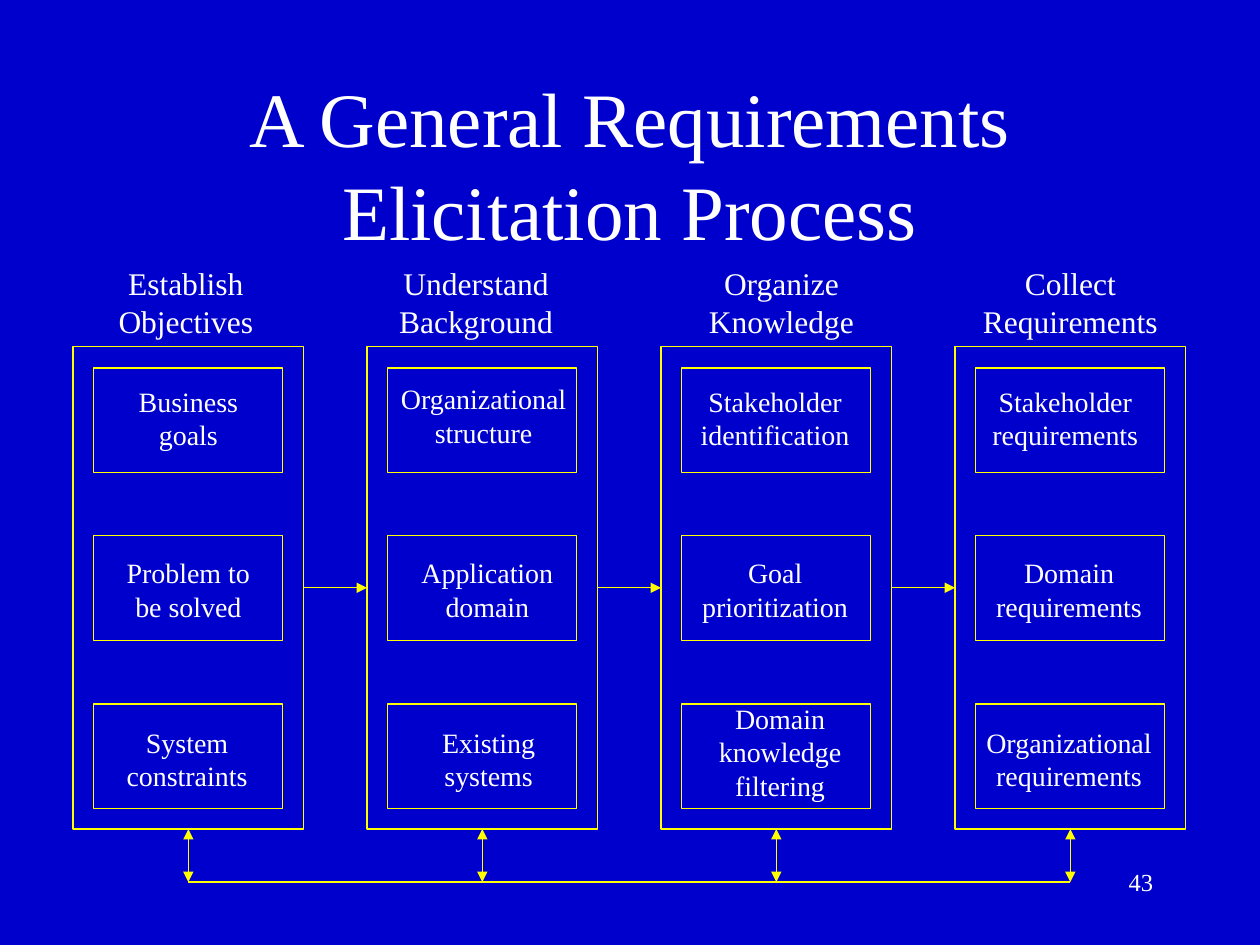
import dataclasses

import pptx
import pptx.dml.color
import pptx.enum.shapes
import pptx.enum.text
import pptx.oxml.ns
import pptx.util
from lxml import etree
from pptx.util import Inches


@dataclasses.dataclass(frozen=True)
class Theme:
    """Colours, font and point sizes of the slide."""
    background: str = "0000CC"
    line: str = "FFFF00"
    text: str = "FFFFFF"
    font: str = "Times New Roman"
    title_size: int = 44
    heading_size: int = 18
    label_size: int = 16
    number_size: int = 14
    line_width: float = 0.75


@dataclasses.dataclass(frozen=True)
class Label:
    """Lines of text with a width and a shift from the usual place, in inches."""
    text: str
    width: float
    shift: float = 0
    lift: float = 0
    height: float = 0.64


@dataclasses.dataclass(frozen=True)
class Phase:
    """A heading and the labels of the steps under it."""
    heading: Label
    steps: tuple


THEME = Theme()
PHASES = (
    Phase(Label("Establish\nObjectives", 1.27, -0.02, height=0.7), (
        Label("Business\ngoals", 0.99),
        Label("Problem to\nbe solved", 1.18),
        Label("System\nconstraints", 1.16, -0.01))),
    Phase(Label("Understand\nBackground", 1.42, -0.05, height=0.7), (
        Label("Organizational\nstructure", 1.51, 0.01, 0.02),
        Label("Application\ndomain", 1.24, 0.04),
        Label("Existing\nsystems", 0.94, 0.05))),
    Phase(Label("Organize\nKnowledge", 1.35, 0.04, height=0.7), (
        Label("Stakeholder\nidentification", 1.38, -0.01),
        Label("Goal\nprioritization", 1.35, -0.01),
        Label("Domain\nknowledge\nfiltering", 1.17, 0.03, 0.19, 0.9))),
    Phase(Label("Collect\nRequirements", 1.59, height=0.7), (
        Label("Stakeholder\nrequirements", 1.35, -0.04),
        Label("Domain\nrequirements", 1.35, -0.01),
        Label("Organizational\nrequirements", 1.51, -0.01))),
)
COLUMN_WIDTH, COLUMN_HEIGHT = Inches(1.83), Inches(3.83)
STEP_WIDTH, STEP_HEIGHT = Inches(1.5), Inches(0.83)
STEP_PITCH = Inches(4 / 3)
LABEL_DROPS = (0.08, 0.11, 0.12)


def color(value):
    """Turn a hexadecimal string into a colour."""
    return pptx.dml.color.RGBColor.from_string(value)


def write_text(text_frame, text, size, align="CENTER", wrap=True):
    """Fill a text frame with one paragraph for each line of text."""
    text_frame.word_wrap = wrap
    text_frame.auto_size = pptx.enum.text.MSO_AUTO_SIZE.NONE
    text_frame.text = text
    for paragraph in text_frame.paragraphs:
        paragraph.alignment = pptx.enum.text.PP_ALIGN[align]
        paragraph.font.name = THEME.font
        paragraph.font.size = pptx.util.Pt(size)
        paragraph.font.color.rgb = color(THEME.text)


def add_label(slide, label, center, top, size):
    """Place a label around a horizontal centre."""
    width = Inches(label.width)
    left = center + Inches(label.shift) - width // 2
    shape = slide.shapes.add_textbox(left, top - Inches(label.lift), width, Inches(label.height))
    write_text(shape.text_frame, label.text, size, wrap=False)


def add_outline(slide, left, top, width, height):
    """Add an unfilled rectangle."""
    shape = slide.shapes.add_shape(
        pptx.enum.shapes.MSO_SHAPE.RECTANGLE, left, top, width, height)
    shape.shadow.inherit = False
    shape.fill.background()
    shape.line.color.rgb = color(THEME.line)
    shape.line.width = pptx.util.Pt(THEME.line_width)
    return shape


def add_line(slide, start, end, heads=()):
    """Add a straight line with triangles at the named ends."""
    connector = slide.shapes.add_connector(
        pptx.enum.shapes.MSO_CONNECTOR.STRAIGHT, *start, *end)
    connector.line.color.rgb = color(THEME.line)
    connector.line.width = pptx.util.Pt(THEME.line_width)
    properties = connector.line._get_or_add_ln()
    for head in heads:
        etree.SubElement(properties, pptx.oxml.ns.qn(f"a:{head}"), type="triangle")
    etree.SubElement(connector._element.spPr, pptx.oxml.ns.qn("a:effectLst"))
    return connector


def add_title(slide, left, top, width, height):
    """Place the slide title."""
    title = slide.shapes.title
    title.left, title.top, title.width, title.height = left, top, width, height
    title.text_frame.vertical_anchor = pptx.enum.text.MSO_ANCHOR.MIDDLE
    write_text(title.text_frame, "A General Requirements Elicitation Process", THEME.title_size)


def add_phase(slide, phase, left, top, width, height):
    """Draw one phase column with its heading and steps, and return its frame."""
    center = left + width // 2
    add_label(slide, phase.heading, center, top - Inches(0.7), THEME.heading_size)
    for row, (step, drop) in enumerate(zip(phase.steps, LABEL_DROPS)):
        step_top = top + Inches(0.17) + row * STEP_PITCH
        add_outline(slide, center - STEP_WIDTH // 2, step_top, STEP_WIDTH, STEP_HEIGHT)
        add_label(slide, step, center, step_top + Inches(drop), THEME.label_size)
    return add_outline(slide, left, top, width, height)


def add_process(slide, left, top, width):
    """Draw the phases, the arrows between them and the feedback line below."""
    pitch = (width - COLUMN_WIDTH) // (len(PHASES) - 1)
    frames = [add_phase(slide, phase, left + index * pitch, top, COLUMN_WIDTH, COLUMN_HEIGHT)
              for index, phase in enumerate(PHASES)]
    middle, bottom = top + COLUMN_HEIGHT // 2, top + COLUMN_HEIGHT
    feedback = Inches(7)
    for before, after in zip(frames, frames[1:]):
        arrow = add_line(slide, (before.left + before.width, middle), (after.left, middle),
                         ("tailEnd",))
        arrow.begin_connect(before, 3)
        arrow.end_connect(after, 1)
    centers = [frame.left + frame.width // 2 for frame in frames]
    add_line(slide, (centers[0], feedback), (centers[-1], feedback))
    for frame, center in zip(frames, centers):
        arrow = add_line(slide, (center, feedback), (center, bottom), ("headEnd", "tailEnd"))
        arrow.end_connect(frame, 2)


def add_slide_number(slide, left, top, width, height):
    """Place the slide number."""
    shape = slide.shapes.add_textbox(left, top, width, height)
    write_text(shape.text_frame, "43", THEME.number_size, align="RIGHT")


def main():
    """Build and save the presentation."""
    presentation = pptx.Presentation()
    presentation.slide_width, presentation.slide_height = Inches(10), Inches(7.5)
    slide = presentation.slides.add_slide(presentation.slide_layouts[5])
    slide.background.fill.solid()
    slide.background.fill.fore_color.rgb = color(THEME.background)
    add_title(slide, Inches(0.75), Inches(0.67), Inches(8.5), Inches(1.25))
    add_process(slide, Inches(0.58), Inches(2.75), Inches(8.83))
    add_slide_number(slide, Inches(7.17), Inches(6.83), Inches(2.08), Inches(0.5))
    presentation.save("out.pptx")


if __name__ == "__main__":
    main()
